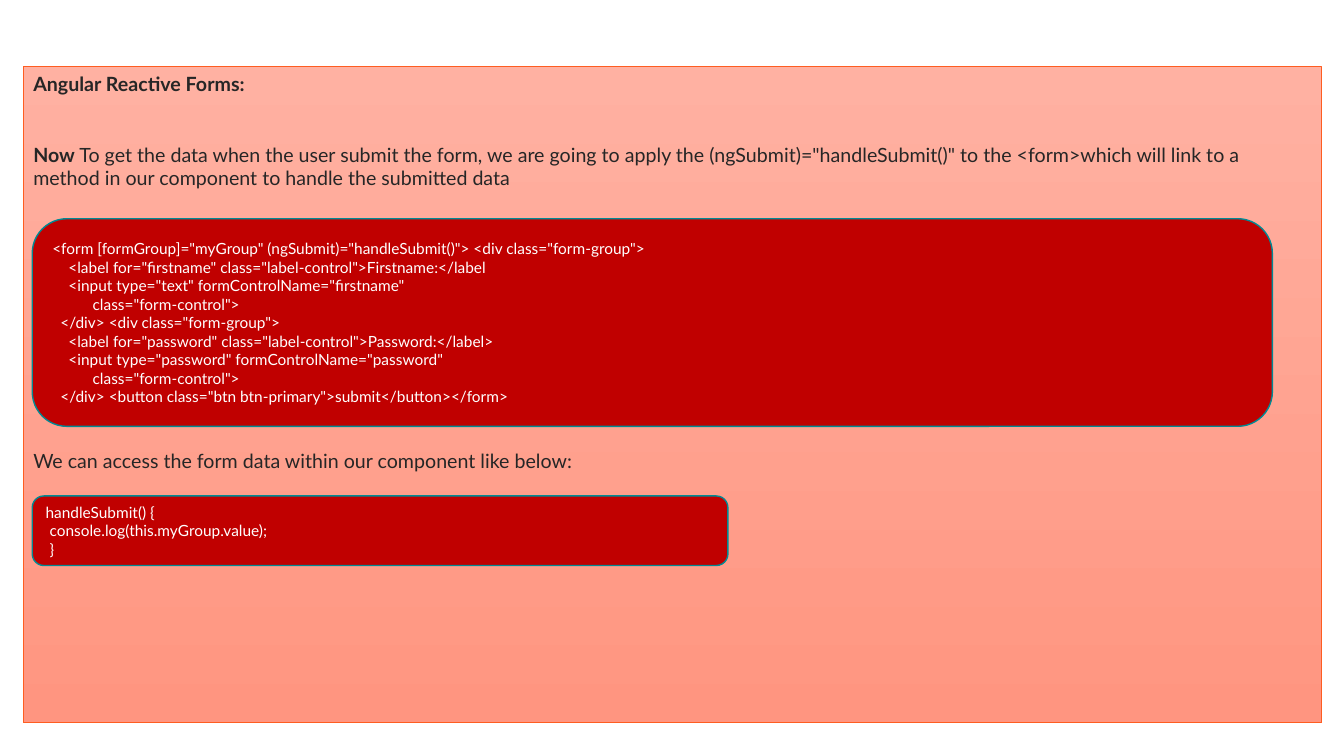
from pptx import Presentation
from pptx.dml.color import RGBColor
from pptx.enum.shapes import MSO_SHAPE as Shape
from pptx.enum.text import MSO_ANCHOR as Anchor, MSO_AUTO_SIZE as AutoSize, PP_ALIGN as Align
from pptx.util import Inches, Pt

INK = RGBColor(0x26, 0x26, 0x26)
WHITE = RGBColor(0xFF, 0xFF, 0xFF)
PANEL_TOP = RGBColor(0xFF, 0xB1, 0xA2)
PANEL_BOTTOM = RGBColor(0xFF, 0x95, 0x80)
PANEL_LINE = RGBColor(0xFE, 0x5D, 0x21)
CODE_FILL = RGBColor(0xC0, 0x00, 0x00)
CODE_LINE = RGBColor(0x00, 0x8A, 0x94)
FONT = "Lato"
SPACE_WIDTH = 0.04  # inches of indent for each leading space of code

# Each paragraph: points of space before it, then (text, bold) runs
PANEL_TEXT = [
    (0, [("Angular Reactive Forms:", True)]),
    (34, [("Now ", True),
          ("To get the data when the user submit the form, we are going to apply the "
           '(ngSubmit)="handleSubmit()" to the <form>which will link to a method in our '
           "component to handle the submitted data", False)]),
    (185, [("We can access the form data within our component like below:", False)]),
]

# Each line of code: leading spaces, text
FORM_CODE = [
    (0, '<form [formGroup]="myGroup" (ngSubmit)="handleSubmit()"> <div class="form-group">'),
    (4, '<label for="firstname" class="label-control">Firstname:</label'),
    (4, '<input type="text" formControlName="firstname"'),
    (10, 'class="form-control">'),
    (2, '</div> <div class="form-group">'),
    (4, '<label for="password" class="label-control">Password:</label>'),
    (4, '<input type="password" formControlName="password"'),
    (10, 'class="form-control">'),
    (2, '</div> <button class="btn btn-primary">submit</button></form>'),
]
SUBMIT_CODE = [
    (0, "handleSubmit() {"),
    (1, "console.log(this.myGroup.value);"),
    (1, "}"),
]


def add_text(paragraph, text, size=14, color=INK, bold=False):
    run = paragraph.add_run()
    run.text = text
    run.font.name = FONT
    run.font.size = Pt(size)
    run.font.bold = bold
    run.font.color.rgb = color


def next_paragraph(frame, index):
    paragraph = frame.add_paragraph() if index else frame.paragraphs[0]
    paragraph.alignment = Align.LEFT
    return paragraph


def fill_panel(panel, left, top, width, height):
    """Title placeholder as the gradient panel with the explanation."""
    panel.left, panel.top = Inches(left), Inches(top)
    panel.width, panel.height = Inches(width), Inches(height)
    panel.fill.gradient()
    panel.fill.gradient_angle = 270
    for stop, color in zip(panel.fill.gradient_stops, (PANEL_TOP, PANEL_BOTTOM)):
        stop.color.rgb = color
    panel.line.color.rgb = PANEL_LINE
    panel.line.width = Pt(0.5)
    frame = panel.text_frame
    frame.word_wrap = True
    frame.auto_size = AutoSize.NONE
    frame.vertical_anchor = Anchor.TOP
    for index, (space, runs) in enumerate(PANEL_TEXT):
        paragraph = next_paragraph(frame, index)
        paragraph.space_before = Pt(space)
        for text, bold in runs:
            add_text(paragraph, text, bold=bold)


def add_code_box(slide, lines, left, top, width, height):
    """Rounded red box with indented lines of code."""
    box = slide.shapes.add_shape(Shape.ROUNDED_RECTANGLE, Inches(left), Inches(top),
                                 Inches(width), Inches(height))
    box.shadow.inherit = False
    box.fill.solid()
    box.fill.fore_color.rgb = CODE_FILL
    box.line.color.rgb = CODE_LINE
    box.line.width = Pt(1)
    frame = box.text_frame
    frame.word_wrap = True
    frame.vertical_anchor = Anchor.MIDDLE
    for index, (spaces, text) in enumerate(lines):
        paragraph = next_paragraph(frame, index)
        properties = paragraph._p.get_or_add_pPr()
        properties.set("marL", str(Inches(spaces * SPACE_WIDTH)))
        properties.set("indent", "0")
        add_text(paragraph, text, size=11, color=WHITE)


def build_forms_slide(presentation):
    slide = presentation.slides.add_slide(presentation.slide_layouts[0])
    subtitle = slide.placeholders[1].element
    subtitle.getparent().remove(subtitle)

    # Panel, then the two code samples over its gaps
    left, top = 0.23, 0.66
    fill_panel(slide.shapes.title, left, top, 12.88, 6.51)
    add_code_box(slide, FORM_CODE, left + 0.09, top + 1.51, 12.3, 2.06)
    add_code_box(slide, SUBMIT_CODE, left + 0.09, top + 4.26, 6.9, 0.69)


def main():
    presentation = Presentation()
    presentation.slide_width = Inches(13.33)
    presentation.slide_height = Inches(7.5)
    build_forms_slide(presentation)
    presentation.save("out.pptx")


if __name__ == "__main__":
    main()
